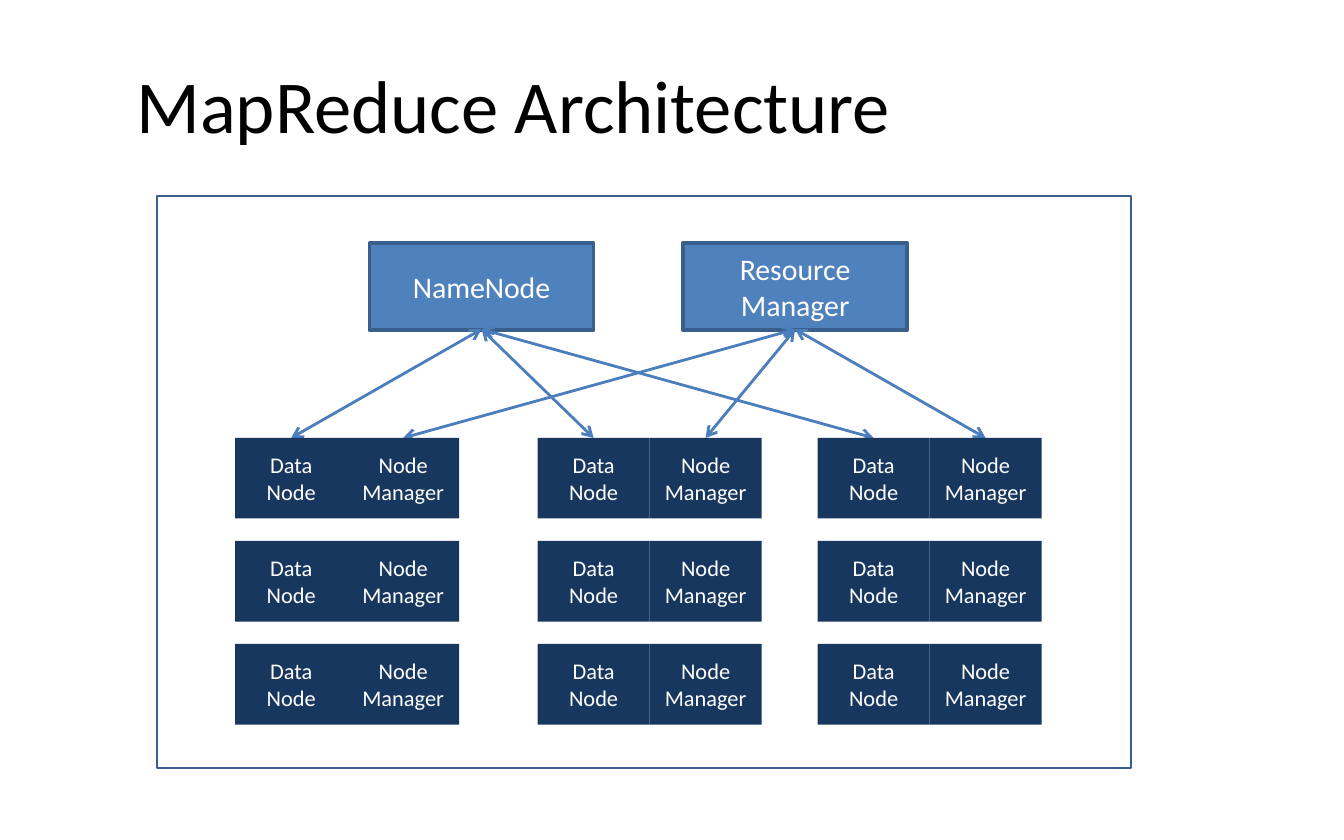
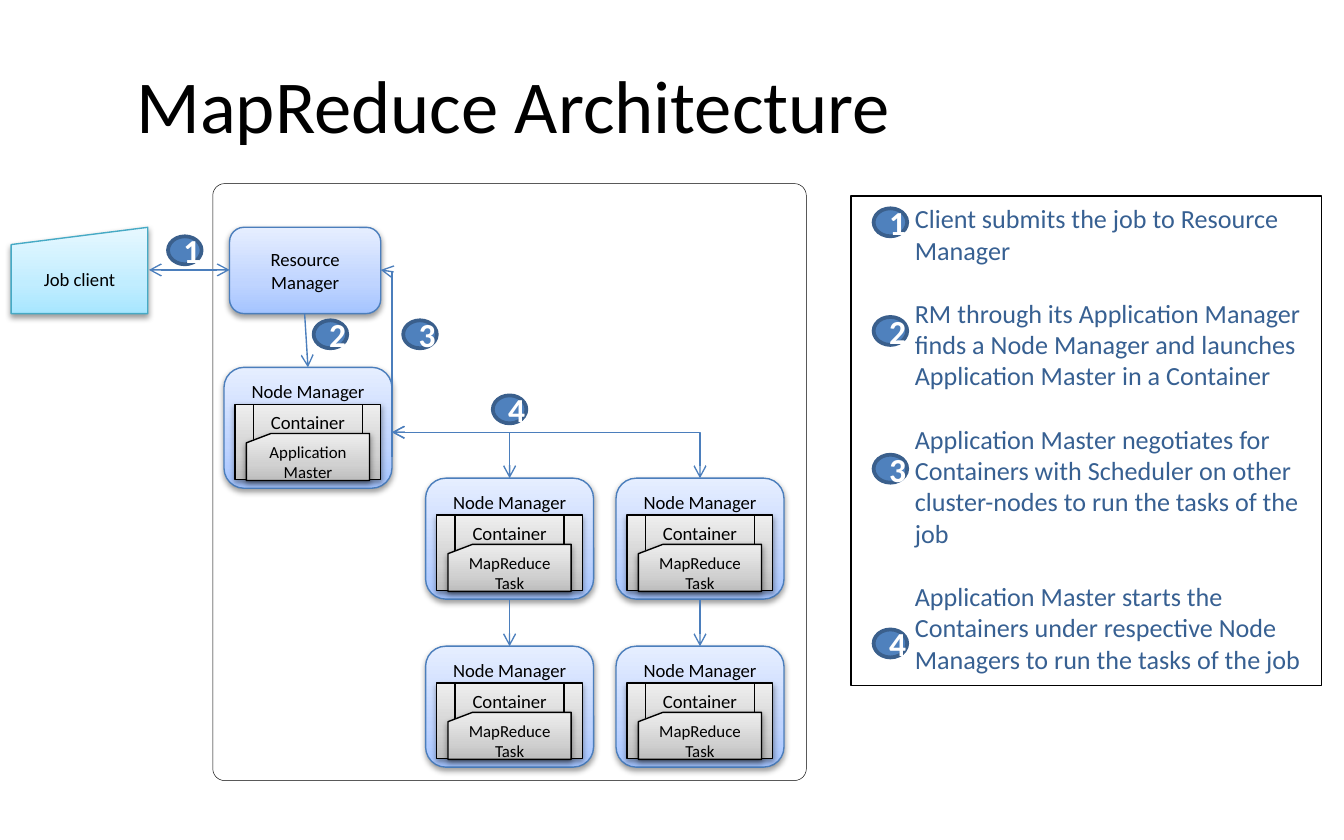
from dataclasses import dataclass
from itertools import product

from lxml import etree
from pptx import Presentation
from pptx.dml.color import RGBColor
from pptx.enum.shapes import MSO_CONNECTOR, MSO_SHAPE
from pptx.enum.text import MSO_ANCHOR, PP_ALIGN
from pptx.oxml.ns import qn
from pptx.util import Emu, Pt

RECT = MSO_SHAPE.RECTANGLE
ROUND = MSO_SHAPE.ROUNDED_RECTANGLE
OVAL = MSO_SHAPE.OVAL
PROCESS = MSO_SHAPE.FLOWCHART_PREDEFINED_PROCESS
CARD = MSO_SHAPE.FLOWCHART_CARD
MANUAL_INPUT = MSO_SHAPE.FLOWCHART_MANUAL_INPUT
STRAIGHT, ELBOW = MSO_CONNECTOR.STRAIGHT, MSO_CONNECTOR.ELBOW
TOP, MIDDLE = MSO_ANCHOR.TOP, MSO_ANCHOR.MIDDLE
LEFT, CENTER = PP_ALIGN.LEFT, PP_ALIGN.CENTER
EMU_PER_PX = 7620  # 120 px to the inch


@dataclass(frozen=True)
class Theme:
    font: str = "Calibri"
    black: str = "000000"
    white: str = "FFFFFF"
    blue: str = "4F81BD"
    edge: str = "3A5F8C"
    arrow: str = "4B7EBC"
    navy: str = "17375E"
    legend: str = "376092"
    teal: str = "46AAC5"
    # gradients run from the bottom up
    blue_fade: tuple = ("A4C4FF", "BFD4FF", "E6EEFF")
    gray_fade: tuple = ("BDBDBD", "D1D1D1", "EEEEEE")
    cyan_fade: tuple = ("A7E6FF", "C1EDFF", "E7F8FF")
    fade_stops: tuple = (0, 35, 100)
    title_size: int = 40
    badge_size: int = 18
    master_size: int = 16
    legend_size: int = 14
    worker_size: int = 12
    label_size: int = 10
    task_size: int = 9


T = Theme()


def px(n):
    return Emu(round(n * EMU_PER_PX))


def rgb(color):
    return RGBColor.from_string(color)


def write(shape, paragraphs, size, color, align=CENTER, anchor=MIDDLE, bold=False):
    tf = shape.text_frame
    tf.word_wrap = True
    tf.vertical_anchor = anchor
    tf.text = "\n".join(paragraphs)
    for p in tf.paragraphs:
        p.alignment = align
        for r in p.runs:
            r.font.name, r.font.size, r.font.bold = T.font, Pt(size), bold
            r.font.color.rgb = rgb(color)


def add_box(s, kind, box, fill=None, line=None, width=0.75):
    sp = s.shapes.add_shape(kind, *map(px, box))
    sp.shadow.inherit = False
    if fill:
        sp.fill.solid()
        sp.fill.fore_color.rgb = rgb(fill)
    else:
        sp.fill.background()
    if line:
        sp.line.color.rgb = rgb(line)
        sp.line.width = Pt(width)
    else:
        sp.line.fill.background()
    return sp


def fade(sp, colors):
    """Fill with a vertical three-stop gradient."""
    sp.fill.gradient()
    sp.fill.gradient_angle = 90
    stops = sp._element.spPr.find(".//" + qn("a:gsLst"))
    for stop in list(stops):
        stops.remove(stop)
    for position, color in zip(T.fade_stops, colors):
        stop = etree.SubElement(stops, qn("a:gs"), pos=str(position * 1000))
        etree.SubElement(stop, qn("a:srgbClr"), val=color)


def drop_shadow(sp):
    effects = sp._element.spPr.find(qn("a:effectLst"))
    shadow = etree.SubElement(effects, qn("a:outerShdw"), blurRad="40000",
                              dist="20000", dir="5400000", rotWithShape="0")
    color = etree.SubElement(shadow, qn("a:srgbClr"), val=T.black)
    etree.SubElement(color, qn("a:alpha"), val="38000")


def add_raised(s, kind, box, text, colors, line, size=T.label_size, anchor=MIDDLE):
    sp = add_box(s, kind, box, T.white, line)
    fade(sp, colors)
    drop_shadow(sp)
    write(sp, [text], size, T.black, anchor=anchor)


def add_arrow(s, start, end, width=0.75, ends=("tailEnd",), bent=False):
    """Connector; a bent one runs sideways first, then down."""
    c = s.shapes.add_connector(ELBOW if bent else STRAIGHT, *map(px, start + end))
    c.line.color.rgb = rgb(T.arrow)
    c.line.width = Pt(width)
    sp_pr = c._element.spPr
    if bent:
        sp_pr.find(qn("a:prstGeom")).set("prst", "bentConnector2")
    for tip in ends:
        etree.SubElement(sp_pr.find(qn("a:ln")), qn("a:" + tip), type="arrow")
    etree.SubElement(sp_pr, qn("a:effectLst"))


BOTH = ("headEnd", "tailEnd")


def add_badge(s, number, x, y):
    sp = add_box(s, OVAL, (x, y, 30, 25), T.blue, T.edge, 2)
    write(sp, [str(number)], T.badge_size, T.white, bold=True)


def add_node(s, x, y, task):
    """Node manager holding a container that runs one task."""
    add_raised(s, ROUND, (x, y, 150, 108), "Node Manager",
               T.blue_fade, T.arrow, anchor=TOP)
    add_raised(s, PROCESS, (x + 10, y + 33, 130, 67), "Container",
               T.gray_fade, T.black, anchor=TOP)
    add_raised(s, CARD, (x + 20, y + 59, 110, 42), task,
               T.gray_fade, T.black, T.task_size)


def add_titled_slide(prs, title):
    s = prs.slides.add_slide(prs.slide_layouts[6])
    tb = s.shapes.add_textbox(*map(px, (110, 30, 1030, 125)))
    write(tb, [title], T.title_size, T.black, LEFT)
    return s


def build_cluster(prs):
    s = add_titled_slide(prs, "MapReduce Architecture")
    columns, rows = (210, 480, 730), [391 + 92 * i for i in range(3)]
    roles = ("Data Node", "Node Manager")
    masters = (("NameNode", 330), ("Resource Manager", 610))
    add_box(s, RECT, (140, 175, 870, 511), line=T.edge, width=1)
    for name, x in masters:
        sp = add_box(s, RECT, (x, 217, 200, 78), T.blue, T.edge, 2)
        write(sp, [name], T.master_size, T.white)
    for (i, (_, x)), column in product(enumerate(masters), columns):
        add_arrow(s, (x + 100, 294), (column + 50 + 100 * i, 391), 1.5, BOTH)
    for x, y, (i, role) in product(columns, rows, enumerate(roles)):
        sp = add_box(s, RECT, (x + 100 * i, y, 100, 72), T.navy)
        write(sp, [role], T.worker_size, T.white)


def add_legend(s, steps):
    sp = add_box(s, RECT, (760, 175, 420, 437), T.white, T.black)
    write(sp, [text for text, _ in steps], T.legend_size, T.legend, LEFT, TOP)
    for i, p in enumerate(sp.text_frame.paragraphs):
        p._p.get_or_add_pPr().set("marL", str(px(45)))
        p.space_before = Pt(17 if i else 0)
    for number, (_, y) in enumerate(steps, 1):
        add_badge(s, number, 780, y)


def build_job_flow(prs):
    s = add_titled_slide(prs, "MapReduce Architecture")
    cluster = add_box(s, ROUND, (190, 164, 530, 533), T.white, T.black, 0.25)
    cluster.adjustments[0] = 0.02

    add_raised(s, MANUAL_INPUT, (10, 203, 122, 77), "Job client", T.cyan_fade, T.teal)
    add_raised(s, ROUND, (205, 203, 135, 77), "Resource Manager", T.blue_fade, T.arrow)
    add_node(s, 200, 328, "Application Master")
    columns, rows = (380, 550), (427, 577)
    for x, y in product(columns, rows):
        add_node(s, x, y, "MapReduce Task")

    add_arrow(s, (133, 241), (205, 241), ends=BOTH)
    add_arrow(s, (272, 280), (275, 328))
    add_arrow(s, (340, 241), (350, 408), ends=("headEnd",), bent=True)
    for x in columns:
        add_arrow(s, (350, 386), (x + 75, rows[0]), ends=BOTH, bent=True)
        add_arrow(s, (x + 75, rows[0] + 109), (x + 75, rows[1]))

    badges = ((150, 211), (280, 286), (360, 286), (440, 353))
    for number, (x, y) in enumerate(badges, 1):
        add_badge(s, number, x, y)
    add_legend(s, (
        ("Client submits the job to Resource Manager", 186),
        ("RM through its Application Manager finds a Node Manager and launches "
         "Application Master in a Container", 283),
        ("Application Master negotiates for Containers with Scheduler on other "
         "cluster-nodes to run the tasks of the job", 406),
        ("Application Master starts the Containers under respective Node "
         "Managers to run the tasks of the job", 562),
    ))


def main():
    prs = Presentation()
    prs.slide_width, prs.slide_height = px(1200), px(750)
    build_cluster(prs)
    build_job_flow(prs)
    prs.save("out.pptx")


if __name__ == "__main__":
    main()
